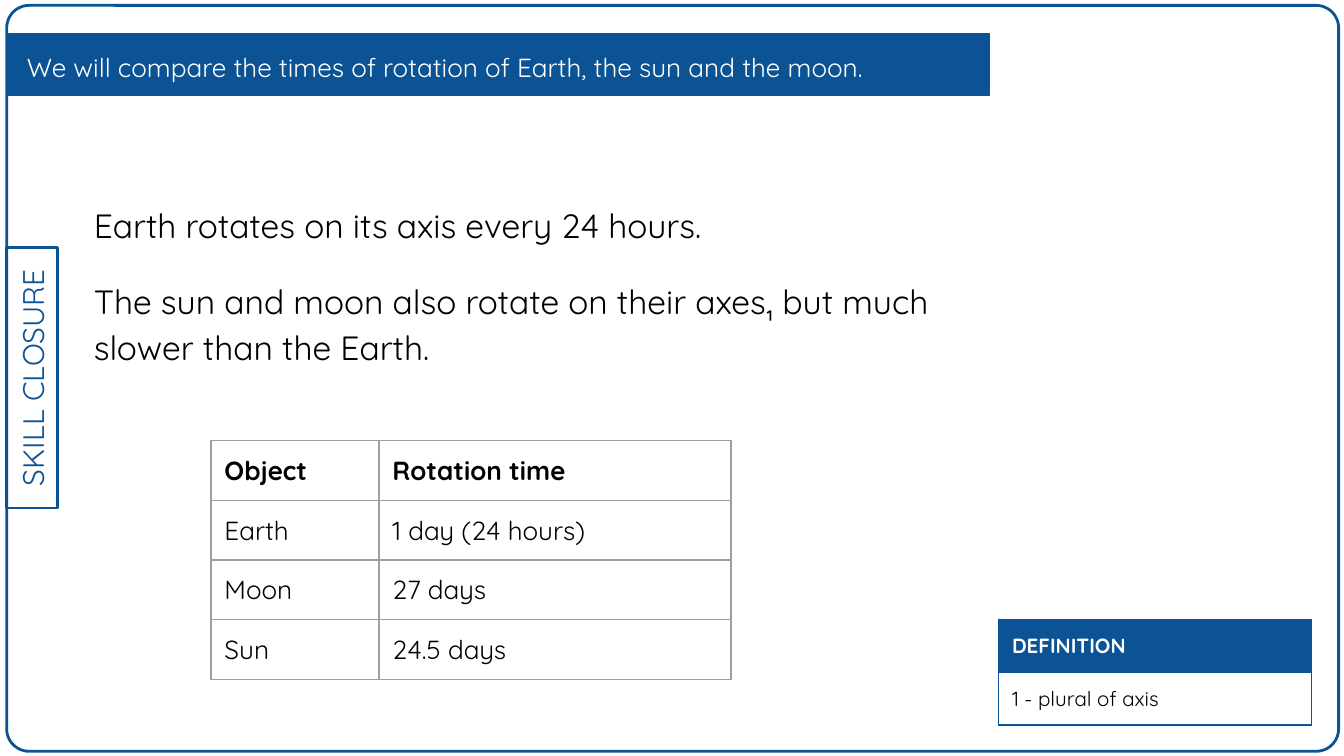
from dataclasses import dataclass
from typing import Optional

from lxml.etree import SubElement
from pptx import Presentation
from pptx.dml.color import RGBColor
from pptx.enum.shapes import MSO_SHAPE
from pptx.enum.text import MSO_ANCHOR, MSO_AUTO_SIZE, PP_ALIGN
from pptx.oxml.ns import qn
from pptx.util import Inches, Pt


@dataclass(frozen=True)
class Theme:
    font: str = "Quicksand"
    blue: str = "0B5394"
    gray: str = "9E9E9E"
    white: str = "FFFFFF"
    black: str = "000000"
    body: int = 18
    label: int = 16
    text: int = 14
    note: int = 11
    thick: float = 1.5
    thin: float = 0.75
    inset: float = 0.1
    leading: float = 1.15
    gap: int = 16


@dataclass(frozen=True)
class Box:
    left: float
    top: float
    width: float
    height: float

    def place(self) -> tuple:
        return tuple(Inches(v) for v in (self.left, self.top, self.width, self.height))


@dataclass(frozen=True)
class Panel:
    kind: MSO_SHAPE
    box: Box
    weight: float
    fill: Optional[str] = None


@dataclass(frozen=True)
class Grid:
    left: float
    top: float
    cols: tuple
    row: float
    cells: tuple
    size: int
    border: str
    head: str
    fill: Optional[str] = None


THEME = Theme()

FRAME = Panel(MSO_SHAPE.ROUNDED_RECTANGLE, Box(0.05, 0.04, 9.91, 5.55), THEME.thick)
TAB = Panel(MSO_SHAPE.RECTANGLE, Box(-0.73, 2.62, 1.94, 0.38), THEME.thick)
BAR = Panel(MSO_SHAPE.RECTANGLE, Box(0.05, 0.25, 7.31, 0.46), THEME.thin, THEME.blue)

GOAL = "We will compare the times of rotation of Earth, the sun and the moon."
FACTS = (
    "Earth rotates on its axis every 24 hours.",
    "The sun and moon also rotate on their axes₁ but much slower than the Earth.",
)

TERMS = Grid(7.43, 4.61, (2.33,), 0.39, (("DEFINITION",), ("1 - plural of axis",)),
             THEME.note, THEME.blue, THEME.white, THEME.blue)
TIMES = Grid(1.57, 3.28, (1.25, 2.62), 0.44,
             (("Object", "Rotation time"), ("Earth", "1 day (24 hours)"),
              ("Moon", "27 days"), ("Sun", "24.5 days")),
             THEME.text, THEME.gray, THEME.black)


def color(code: str) -> RGBColor:
    return RGBColor.from_string(code)


def write(para, text: str, size: int, ink: str, bold: bool = False) -> None:
    run = para.add_run()
    run.text = text
    font = run.font
    font.name, font.size, font.bold = THEME.font, Pt(size), bold
    font.color.rgb = color(ink)


def pad(area) -> None:
    """Set equal insets on a text frame or a table cell."""
    for side in ("left", "top", "right", "bottom"):
        setattr(area, f"margin_{side}", Inches(THEME.inset))


def setup(frame) -> None:
    pad(frame)
    frame.word_wrap = True
    frame.auto_size = MSO_AUTO_SIZE.NONE
    frame.vertical_anchor = MSO_ANCHOR.MIDDLE


def draw_panel(slide, panel: Panel):
    shape = slide.shapes.add_shape(panel.kind, *panel.box.place())
    shape.shadow.inherit = False
    if panel.fill:
        shape.fill.solid()
        shape.fill.fore_color.rgb = color(panel.fill)
    else:
        shape.fill.background()
    shape.line.color.rgb = color(THEME.blue)
    shape.line.width = Pt(panel.weight)
    return shape


def edge(cell, ink: str) -> None:
    props = cell._tc.get_or_add_tcPr()
    for side in ("lnL", "lnR", "lnT", "lnB"):
        line = SubElement(props, qn(f"a:{side}"), w=str(Pt(THEME.thin)))
        fill = SubElement(line, qn("a:solidFill"))
        SubElement(fill, qn("a:srgbClr"), val=ink)


def draw_grid(slide, grid: Grid) -> None:
    count = len(grid.cells)
    box = Box(grid.left, grid.top, sum(grid.cols), grid.row * count)
    table = slide.shapes.add_table(count, len(grid.cols), *box.place()).table
    table.first_row = table.horz_banding = False
    for col, width in zip(table.columns, grid.cols):
        col.width = Inches(width)
    for r, texts in enumerate(grid.cells):
        table.rows[r].height = Inches(grid.row)
        for c, text in enumerate(texts):
            cell = table.cell(r, c)
            pad(cell)
            edge(cell, grid.border)
            if r == 0 and grid.fill:
                cell.fill.solid()
                cell.fill.fore_color.rgb = color(grid.fill)
            else:
                cell.fill.background()
            ink = THEME.black if r else grid.head
            write(cell.text_frame.paragraphs[0], text, grid.size, ink, r == 0)


def draw_title(slide) -> None:
    title = slide.shapes.title
    title.left, title.top, title.width, title.height = Box(0.1, 0.29, 7.21, 0.38).place()
    setup(title.text_frame)
    para = title.text_frame.paragraphs[0]
    para.alignment = PP_ALIGN.LEFT
    para.line_spacing = THEME.leading
    write(para, GOAL, THEME.text, THEME.white)
    # Bring the title in front of its bar
    slide.shapes._spTree.append(title._element)


def draw_facts(slide) -> None:
    frame = slide.shapes.add_textbox(*Box(0.6, 0.84, 6.6, 2.53).place()).text_frame
    setup(frame)
    for i, fact in enumerate(FACTS):
        para = frame.add_paragraph() if i else frame.paragraphs[0]
        para.line_spacing = THEME.leading
        if i:
            para.space_before = para.space_after = Pt(THEME.gap)
        write(para, fact, THEME.body, THEME.black)


def main() -> None:
    deck = Presentation()
    # Widescreen page, 16 by 9
    deck.slide_width = Inches(10)
    deck.slide_height = deck.slide_width * 9 // 16
    slide = deck.slides.add_slide(deck.slide_layouts[5])

    # Page frame
    draw_panel(slide, FRAME).adjustments[0] = 0.03

    # Side tab
    tab = draw_panel(slide, TAB)
    tab.rotation = 270
    setup(tab.text_frame)
    para = tab.text_frame.paragraphs[0]
    para.alignment = PP_ALIGN.CENTER
    write(para, "SKILL CLOSURE", THEME.label, THEME.blue)

    # Title bar and main text
    draw_panel(slide, BAR)
    draw_title(slide)
    draw_facts(slide)

    # Tables
    for grid in (TERMS, TIMES):
        draw_grid(slide, grid)

    deck.save("out.pptx")


if __name__ == "__main__":
    main()
